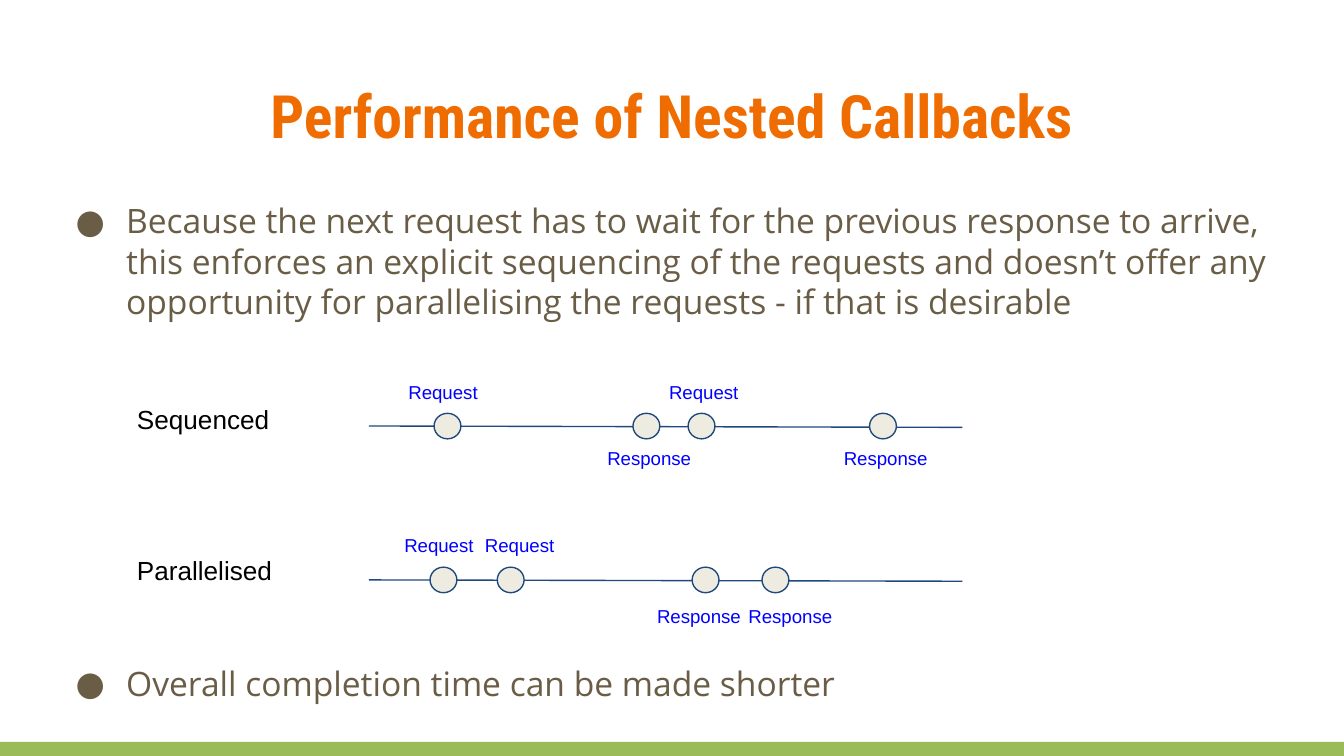
"""Build the slide comparing sequenced and parallelised callback timelines."""
from lxml import etree
from pptx import Presentation, util as u
from pptx.dml.color import RGBColor
from pptx.enum import shapes, text
from pptx.oxml import ns

GREEN = RGBColor(0x9B, 0xBB, 0x59)
ORANGE = RGBColor(0xEF, 0x6C, 0x00)
BROWN = RGBColor(0x69, 0x5D, 0x46)
NAVY = RGBColor(0x1F, 0x49, 0x7D)
CREAM = RGBColor(0xEE, 0xEC, 0xE1)
BLUE = RGBColor(0x00, 0x00, 0xFF)
BLACK = RGBColor(0x00, 0x00, 0x00)

presentation = Presentation()
presentation.slide_width = u.Inches(10)
presentation.slide_height = presentation.slide_width * 9 // 16
COLUMN = presentation.slide_width / 100
ROW = presentation.slide_height / 56.25
slide = presentation.slides.add_slide(presentation.slide_layouts[6])


def grid(left, top, width, height):
    return [round(value) for value in (left * COLUMN, top * ROW, width * COLUMN, height * ROW)]


def add_text(place, words, size, font, color, bold=False):
    frame = slide.shapes.add_textbox(*grid(*place)).text_frame
    frame.word_wrap = True
    frame.vertical_anchor = text.MSO_ANCHOR.TOP
    frame.margin_left = frame.margin_right = round(COLUMN)
    frame.margin_top = frame.margin_bottom = round(ROW)
    run = frame.paragraphs[0].add_run()
    run.text = words
    run.font.size = u.Pt(size)
    run.font.name = font
    run.font.bold = bold
    run.font.color.rgb = color
    return frame.paragraphs[0]


footer = slide.shapes.add_shape(shapes.MSO_SHAPE.RECTANGLE, *grid(0, 55.2, 100, 1.05))
footer.shadow.inherit = False
footer.fill.solid()
footer.fill.fore_color.rgb = GREEN
footer.line.fill.background()

title = add_text((3.4, 4.9, 93.2, 7.7), "Performance of Nested Callbacks", 32, "Roboto Condensed", ORANGE, True)
title.alignment = text.PP_ALIGN.CENTER

points = [
    (13.9, 13.9, "Because the next request has to wait for the previous response to arrive, "
     "this enforces an explicit sequencing of the requests and doesn’t offer any "
     "opportunity for parallelising the requests - if that is desirable"),
    (48.3, 6.3, "Overall completion time can be made shorter"),
]
for top, height, words in points:
    paragraph = add_text((3.4, top, 93.2, height), words, 18, "Open Sans", BROWN)
    properties = paragraph._p.get_or_add_pPr()
    properties.set("marL", str(round(5 * COLUMN)))
    properties.set("indent", str(round(-3.75 * COLUMN)))
    bullet_color = etree.SubElement(properties, ns.qn("a:buClr"))
    etree.SubElement(bullet_color, ns.qn("a:srgbClr")).set("val", str(BROWN))
    etree.SubElement(properties, ns.qn("a:buFont")).set("typeface", "Open Sans")
    etree.SubElement(properties, ns.qn("a:buChar")).set("char", "●")

LINE_LEFT, LINE_RIGHT, LINE_DROP = 27.45, 71.6, 0.1
LABEL_WIDTHS = {"Request": 7.8, "Response": 8.5}
timelines = [
    ("Sequenced", 29, 31.7, {"Request": 27.5, "Response": 32.4},
     [("Request", 32.3, 29.4), ("Response", 47.1, 44.2), ("Request", 51.2, 48.8), ("Response", 64.7, 61.8)]),
    ("Parallelised", 40.25, 43.15, {"Request": 38.9, "Response": 44.2},
     [("Request", 32, 29.1), ("Request", 37, 35.1), ("Response", 51.5, 47.9), ("Response", 56.7, 54.7)]),
]
for name, name_top, axis, label_tops, events in timelines:
    add_text((9.2, name_top, 16, 2.9), name, 14, "Arial", BLACK)
    ends = grid(LINE_LEFT, axis, LINE_RIGHT, axis + LINE_DROP)
    line = slide.shapes.add_connector(shapes.MSO_CONNECTOR.STRAIGHT, *ends)
    line.line.color.rgb = NAVY
    line.line.width = u.Pt(0.75)
    etree.SubElement(line._element.spPr, ns.qn("a:effectLst"))
    for label, dot_left, label_left in events:
        dot = slide.shapes.add_shape(shapes.MSO_SHAPE.OVAL, *grid(dot_left, axis - 0.95, 2, 1.9))
        dot.shadow.inherit = False
        dot.fill.solid()
        dot.fill.fore_color.rgb = CREAM
        dot.line.color.rgb = NAVY
        dot.line.width = u.Pt(0.75)
        add_text((label_left, label_tops[label], LABEL_WIDTHS[label], 2.5), label, 10, "Arial", BLUE)

presentation.save("out.pptx")
